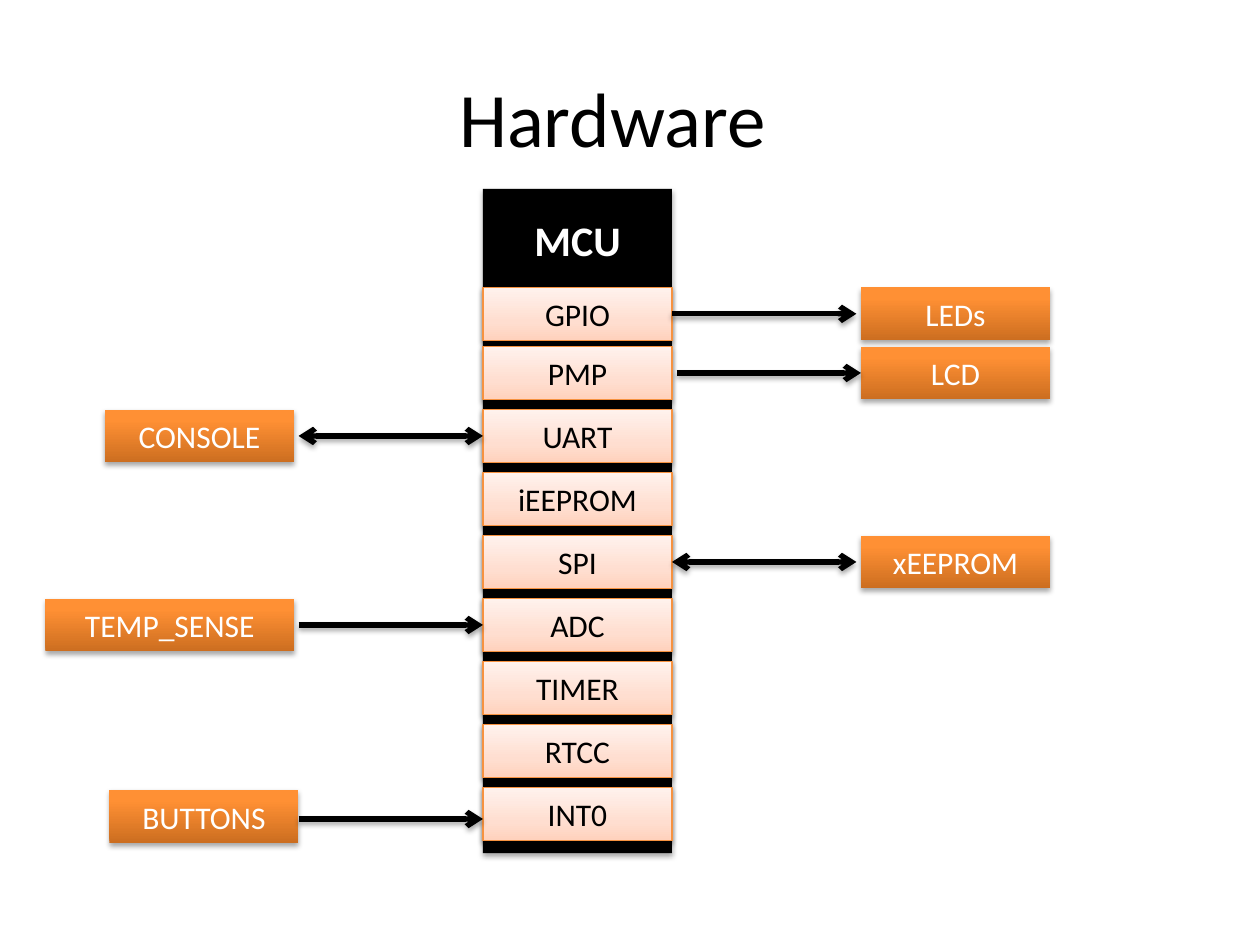
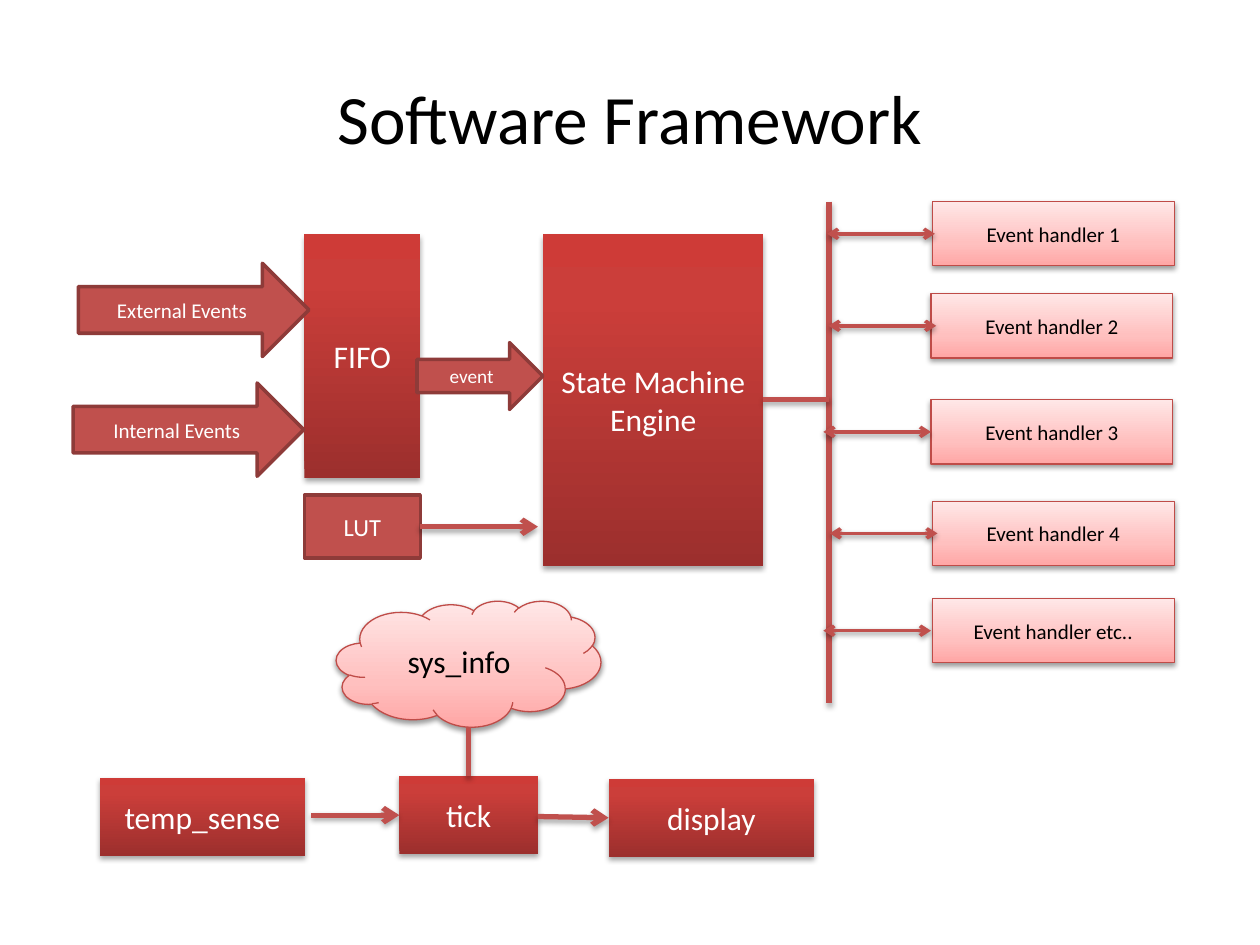
"""Build two block diagrams: the hardware around an MCU and its software framework."""
from dataclasses import dataclass
from typing import Optional

from lxml.etree import SubElement
from pptx import Presentation
from pptx.dml.color import RGBColor
from pptx.enum.shapes import MSO_CONNECTOR, MSO_SHAPE
from pptx.enum.text import MSO_ANCHOR, PP_ALIGN
from pptx.oxml.ns import qn
from pptx.util import Pt

FONT = "Calibri"
BLACK, WHITE, RED = "000000", "FFFFFF", "C0504D"


@dataclass(frozen=True)
class Shadow:
    opacity: int
    distance: float
    blur: float = 3.1


@dataclass(frozen=True)
class Style:
    fill: tuple[tuple[int, str], ...]
    text_color: str
    line_color: Optional[str] = None
    line_width: float = 0.75
    shadow: Optional[Shadow] = None


@dataclass(frozen=True)
class Block:
    text: str
    left: float
    top: float
    width: float
    height: float
    style: Style
    size: float = 18
    preset: MSO_SHAPE = MSO_SHAPE.RECTANGLE
    bold: bool = False
    top_inset: Optional[float] = None


@dataclass(frozen=True)
class Link:
    start: tuple[float, float]
    end: tuple[float, float]
    color: str
    width: float = 3
    head: bool = False
    tail: bool = True


STRONG, SOFT = Shadow(35, 1.8), Shadow(38, 1.6)
CORE = Style(((0, BLACK),), WHITE, shadow=STRONG)
PERIPHERAL = Style(((0, "FFD2BD"), (35, "FFDED0"), (100, "FFF2ED")), BLACK, "F69240", shadow=SOFT)
DEVICE = Style(((0, "CC6E20"), (80, "FF9034"), (100, "FF9136")), WHITE, shadow=STRONG)
MODULE = Style(((0, "9C2F2D"), (80, "CB3E3A"), (100, "CE3B37")), WHITE, shadow=STRONG)
HANDLER = Style(((0, "FFA6A5"), (35, "FFC0BF"), (100, "FFE7E7")), BLACK, "BF4C48", shadow=SOFT)
FLAT = Style(((0, RED),), WHITE, "8E3B39", 2)


def rgb(value: str) -> RGBColor:
    """Turn a hex string into a colour."""
    return RGBColor.from_string(value)


def write(text_frame, text: str, size: float, color: str, bold: bool = False) -> None:
    """Write centred text, one paragraph per line."""
    text_frame.word_wrap = True
    text_frame.vertical_anchor = MSO_ANCHOR.MIDDLE
    for index, line in enumerate(text.split("\n")):
        paragraph = text_frame.add_paragraph() if index else text_frame.paragraphs[0]
        paragraph.alignment = PP_ALIGN.CENTER
        run = paragraph.add_run()
        run.text = line
        run.font.name = FONT
        run.font.size = Pt(size)
        run.font.bold = bold
        run.font.color.rgb = rgb(color)


def add_color_stop(parent, position: int, color: str) -> None:
    """Append one gradient stop."""
    stop = SubElement(parent, qn("a:gs"), pos=str(position * 1000))
    SubElement(stop, qn("a:srgbClr"), val=color)


def paint(shape, stops: tuple[tuple[int, str], ...]) -> None:
    """Fill a shape with one colour or a gradient rising from the bottom."""
    if len(stops) == 1:
        shape.fill.solid()
        shape.fill.fore_color.rgb = rgb(stops[0][1])
        return
    shape.fill.gradient()
    shape.fill.gradient_angle = 90
    stop_list = shape.element.spPr.find(qn("a:gradFill")).find(qn("a:gsLst"))
    for stop in list(stop_list):
        stop_list.remove(stop)
    for position, color in stops:
        add_color_stop(stop_list, position, color)


def cast_shadow(effects, shadow: Shadow) -> None:
    """Add a black shadow that falls straight down."""
    outer = SubElement(effects, qn("a:outerShdw"), blurRad=str(Pt(shadow.blur)),
                       dist=str(Pt(shadow.distance)), dir="5400000", rotWithShape="0")
    color = SubElement(outer, qn("a:srgbClr"), val=BLACK)
    SubElement(color, qn("a:alpha"), val=str(shadow.opacity * 1000))


def add_block(slide, block: Block) -> None:
    """Draw one labelled shape."""
    style = block.style
    shape = slide.shapes.add_shape(block.preset, Pt(block.left), Pt(block.top),
                                   Pt(block.width), Pt(block.height))
    paint(shape, style.fill)
    if style.line_color:
        shape.line.color.rgb = rgb(style.line_color)
        shape.line.width = Pt(style.line_width)
    else:
        shape.line.fill.background()
    shape.shadow.inherit = False
    if style.shadow:
        cast_shadow(shape.element.spPr.find(qn("a:effectLst")), style.shadow)
    write(shape.text_frame, block.text, block.size, style.text_color, block.bold)
    if block.top_inset is not None:
        shape.text_frame.vertical_anchor = MSO_ANCHOR.TOP
        shape.text_frame.margin_top = Pt(block.top_inset)


def add_link(slide, link: Link) -> None:
    """Draw one line with its arrowheads."""
    connector = slide.shapes.add_connector(
        MSO_CONNECTOR.STRAIGHT, *(Pt(value) for value in link.start + link.end))
    connector.line.color.rgb = rgb(link.color)
    connector.line.width = Pt(link.width)
    properties = connector.element.spPr
    outline = properties.find(qn("a:ln"))
    for tag, present in (("a:headEnd", link.head), ("a:tailEnd", link.tail)):
        if present:
            SubElement(outline, qn(tag), type="arrow")
    cast_shadow(SubElement(properties, qn("a:effectLst")), STRONG if link.width == 3 else SOFT)


def add_slide(presentation, title: str, size: float, left: float,
              blocks: list[Block], links: list[Link]) -> None:
    """Add a titled slide with its blocks and links."""
    slide = presentation.slides.add_slide(presentation.slide_layouts[6])
    box = slide.shapes.add_textbox(Pt(left), Pt(21.6), Pt(648), Pt(90))
    write(box.text_frame, title, size, BLACK)
    for block in blocks:
        add_block(slide, block)
    for link in links:
        add_link(slide, link)


def add_hardware(presentation) -> None:
    """Build the MCU with its peripherals and outside devices."""
    width, height, mcu_left, device_left = 108, 30.24, 276, 492
    names = ["PMP", "UART", "iEEPROM", "SPI", "ADC", "TIMER", "RTCC", "INT0"]
    tops = {"GPIO": 164.2} | {name: 198 + 36 * row for row, name in enumerate(names)}
    middles = {name: top + height / 2 for name, top in tops.items()}
    blocks = [Block("MCU", mcu_left, 108, width, 379.5, CORE, 24, bold=True, top_inset=14.8)]
    blocks += [Block(name, mcu_left, top, width, height, PERIPHERAL) for name, top in tops.items()]
    blocks += [Block(name, device_left, tops[port], width, height, DEVICE)
               for name, port in (("LEDs", "GPIO"), ("LCD", "PMP"), ("xEEPROM", "SPI"))]
    blocks += [
        Block("CONSOLE", 60, tops["UART"], width, height, DEVICE),
        Block("TEMP_SENSE", 26, tops["ADC"], 142, height, DEVICE),
        Block("BUTTONS", 62.6, 451.4, width, height, DEVICE),
    ]
    routes = [
        (170.6, middles["UART"], True),
        (170.6, middles["ADC"], False),
        (170.6, 468, False),
        (384, middles["GPIO"], False),
        (384, middles["SPI"], True),
        (386.6, middles["PMP"], False),
    ]
    links = [Link((left, y), (left + 105.4, y), BLACK, head=both) for left, y, both in routes]
    add_slide(presentation, "Hardware", 44, 26, blocks, links)


def add_software(presentation) -> None:
    """Build the event flow, its handlers and the tick chain."""
    bus, arrow = 473.8, MSO_SHAPE.RIGHT_ARROW
    handlers = [
        ("Event handler 1", 532.8, 115.2, 534.2),
        ("Event handler 2", 532, 167.8, 535),
        ("Event handler 3", 532, 228.4, 532),
        ("Event handler 4", 532.8, 286.4, 535.7),
        ("Event handler etc..", 532.8, 342, 532),
    ]
    blocks = [
        Block("FIFO", 174, 133.9, 66.2, 139, MODULE),
        Block("State Machine\nEngine", 310.3, 133.9, 126, 189.4, MODULE),
        Block("LUT", 174, 283, 66.2, 36, FLAT, 14),
        Block("External Events", 44.8, 150.5, 131.8, 53.3, FLAT, 12, arrow),
        Block("event", 238.3, 195.8, 72, 38.2, FLAT, 11, arrow),
        Block("Internal Events", 41.8, 218.9, 131.8, 53.3, FLAT, 12, arrow),
        Block("sys_info", 192.2, 343.4, 151.2, 72, HANDLER, 18, MSO_SHAPE.CLOUD),
        Block("temp_sense", 57, 444.4, 117.4, 44.6, MODULE),
        Block("tick", 228.2, 443.5, 79.2, 44.6, MODULE),
        Block("display", 347.8, 445, 117.4, 44.6, MODULE),
    ]
    blocks += [Block(name, left, top, 138.2, 36.7, HANDLER, 12) for name, left, top, _ in handlers]
    links = [
        Link((bus, 115.2), (bus, 401.8), RED, tail=False),
        Link((436.3, 228.2), (bus, 228.2), RED, tail=False),
        Link((267.8, 415.4), (267.8, 443.5), RED, tail=False),
        Link((239.8, 301), (307.4, 301), RED),
        Link((177.8, 465.8), (228.2, 465.8), RED),
        Link((307.4, 466.6), (347.8, 467.3), RED),
    ]
    links += [Link((right, top + 18.4), (right - 61.5, top + 18.4), RED, 2, head=True)
              for _, _, top, right in handlers]
    add_slide(presentation, "Software Framework", 39.6, 36, blocks, links)


def main() -> None:
    """Create and save the presentation."""
    presentation = Presentation()
    presentation.slide_width, presentation.slide_height = Pt(720), Pt(540)
    add_hardware(presentation)
    add_software(presentation)
    presentation.save("out.pptx")


main()
